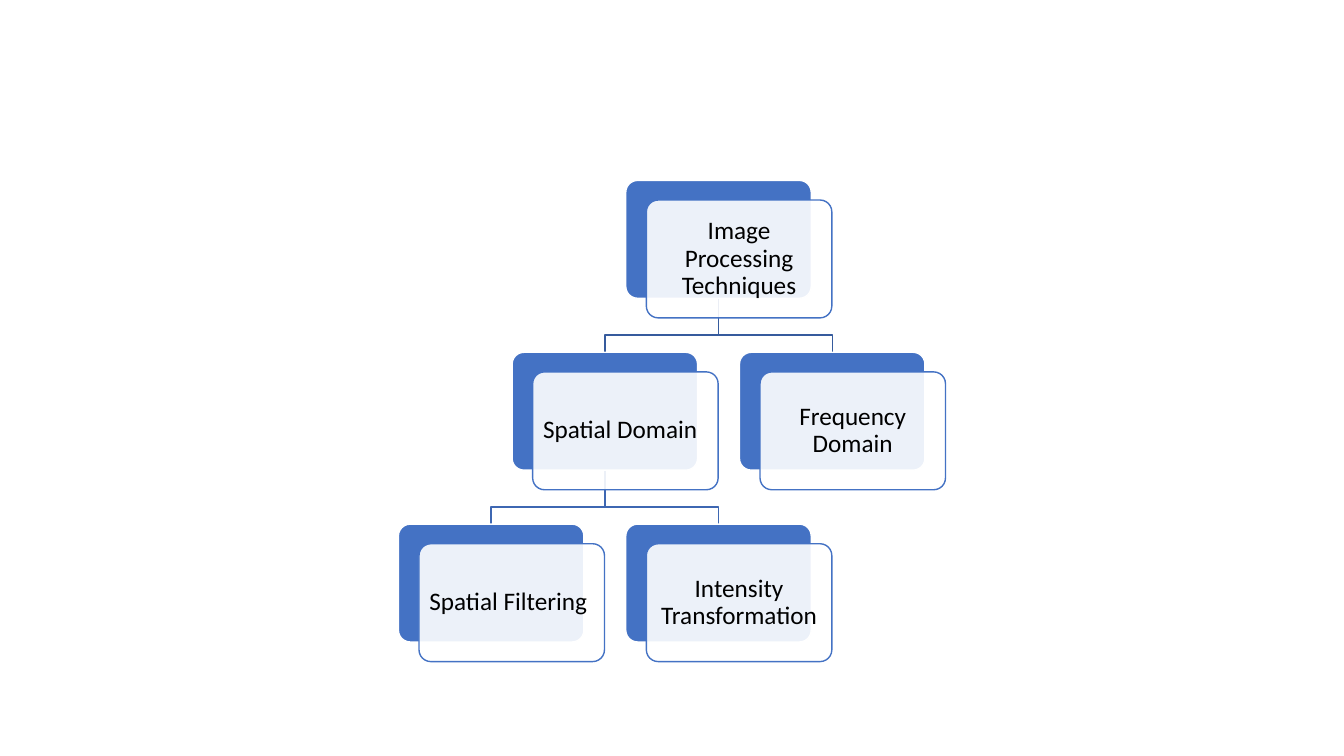
import pptx
import pptx.dml.color
import pptx.enum.shapes
import pptx.enum.text
import pptx.oxml.ns
import pptx.util
from lxml import etree

Pt = pptx.util.Pt

COLORS = {
    "blue": "4472C4",
    "white": "FFFFFF",
    "black": "000000",
    "upper_link": "365B9D",
    "lower_link": "3E67B2",
}

# Tree grid, in points
TREE_LEFT, TREE_TOP = 284.6, 128.9
COLUMN_STEP, ROW_STEP = 81.2, 122.75
CARD_WIDTH, CARD_HEIGHT = 132.5, 84.2
FRONT_SHIFT_X, FRONT_SHIFT_Y = 14.7, 14
ELBOW_DROP = 26.3

# Label, column, row
CARDS = [
    ("Image Processing Techniques", 2, 0),
    ("Spatial Domain\t", 1, 1),
    ("Spatial Filtering\t", 0, 2),
    ("Intensity Transformation", 2, 2),
    ("Frequency Domain", 3, 1),
]

# Parent column, parent row, child column, colour
LINKS = [
    (2, 0, 3, "upper_link"),
    (1, 1, 2, "lower_link"),
    (1, 1, 0, "lower_link"),
    (2, 0, 1, "upper_link"),
]

FRAME_FORMAT = {
    "word_wrap": True,
    "vertical_anchor": pptx.enum.text.MSO_ANCHOR.MIDDLE,
    "margin_left": Pt(5),
    "margin_right": Pt(5),
    "margin_top": Pt(5),
    "margin_bottom": Pt(5),
}
PARAGRAPH_FORMAT = {
    "alignment": pptx.enum.text.PP_ALIGN.CENTER,
    "line_spacing": 0.9,
}
FONT_FORMAT = {"name": "Calibri", "size": Pt(18)}


def color(name):
    return pptx.dml.color.RGBColor.from_string(COLORS[name])


def apply_format(target, values):
    for name, value in values.items():
        setattr(target, name, value)


def grid_position(column, row):
    return TREE_LEFT + column * COLUMN_STEP, TREE_TOP + row * ROW_STEP


def set_line(shape, color_name):
    shape.line.color.rgb = color(color_name)
    shape.line.width = Pt(1)
    shape.shadow.inherit = False


def set_opacity(shape, percent):
    fill_color = shape.fill._xPr.find(".//" + pptx.oxml.ns.qn("a:srgbClr"))
    alpha = etree.SubElement(fill_color, pptx.oxml.ns.qn("a:alpha"))
    alpha.set("val", str(percent * 1000))


def add_link(shapes, parent_column, parent_row, child_column, color_name):
    parent_left, parent_top = grid_position(parent_column, parent_row)
    child_left, child_top = grid_position(child_column, parent_row + 1)
    start_x = parent_left + CARD_WIDTH / 2
    end_x = child_left + CARD_WIDTH / 2
    start_y = parent_top + CARD_HEIGHT
    elbow_y = start_y + ELBOW_DROP
    builder = shapes.build_freeform(Pt(start_x), Pt(start_y))
    corners = [(start_x, elbow_y), (end_x, elbow_y), (end_x, child_top)]
    builder.add_line_segments([(Pt(x), Pt(y)) for x, y in corners], close=False)
    shape = builder.convert_to_shape()
    shape.fill.background()
    set_line(shape, color_name)


def add_panel(shapes, left, top, fill_name, line_name):
    shape = shapes.add_shape(
        pptx.enum.shapes.MSO_SHAPE.ROUNDED_RECTANGLE,
        Pt(left), Pt(top), Pt(CARD_WIDTH), Pt(CARD_HEIGHT))
    shape.adjustments[0] = 0.1
    shape.fill.solid()
    shape.fill.fore_color.rgb = color(fill_name)
    set_line(shape, line_name)
    return shape


def add_card(shapes, label, column, row):
    left, top = grid_position(column, row)
    add_panel(shapes, left, top, "blue", "white")
    front = add_panel(shapes, left + FRONT_SHIFT_X, top + FRONT_SHIFT_Y,
                      "white", "blue")
    set_opacity(front, 90)
    apply_format(front.text_frame, FRAME_FORMAT)
    paragraph = front.text_frame.paragraphs[0]
    apply_format(paragraph, PARAGRAPH_FORMAT)
    run = paragraph.add_run()
    run.text = label
    apply_format(run.font, FONT_FORMAT)
    run.font.color.rgb = color("black")


def main():
    presentation = pptx.Presentation()
    presentation.slide_width = Pt(960)
    presentation.slide_height = Pt(540)
    slide = presentation.slides.add_slide(presentation.slide_layouts[6])
    tree = slide.shapes.add_group_shape()

    # Links lie behind the cards
    for link in LINKS:
        add_link(tree.shapes, *link)

    # Cards
    for card in CARDS:
        add_card(tree.shapes, *card)

    presentation.save("out.pptx")


if __name__ == "__main__":
    main()
